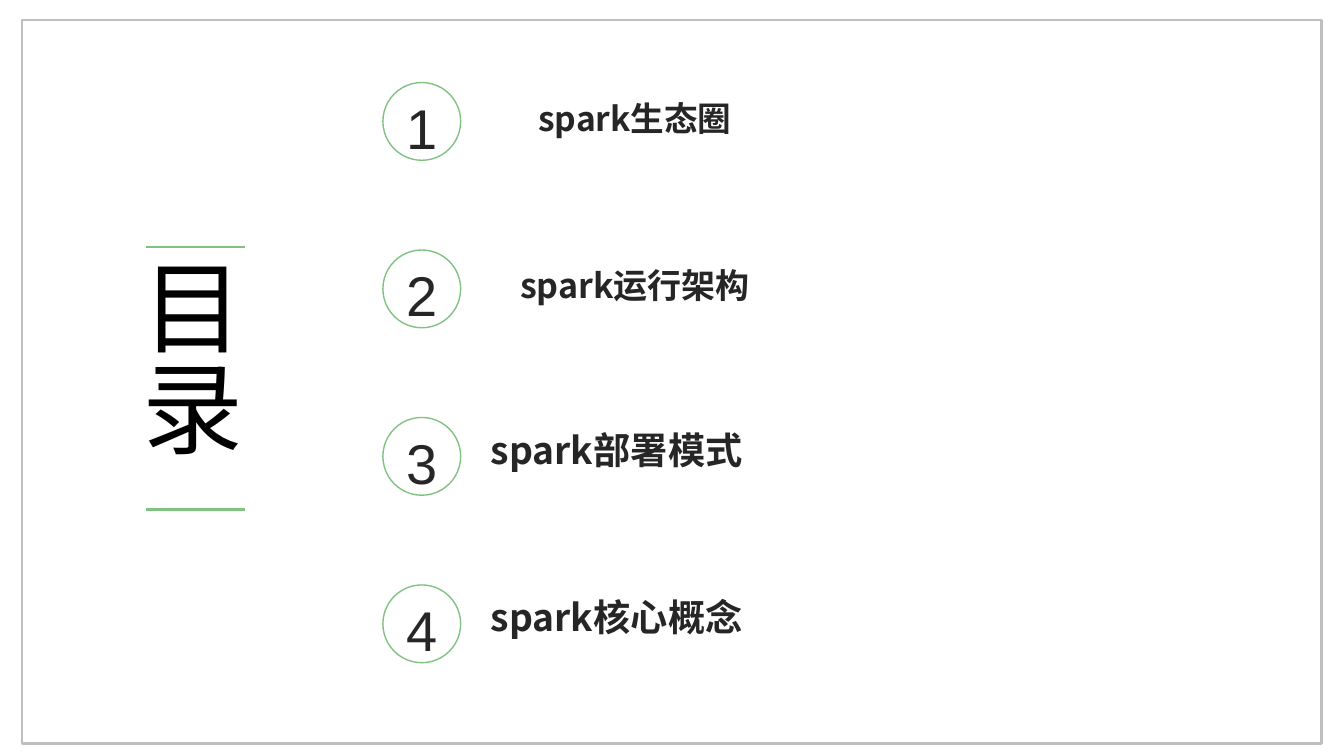
import pptx
import pptx.util
import pptx.dml.color
import pptx.enum.shapes
import pptx.enum.text
import pptx.oxml
import pptx.oxml.ns

Cm = pptx.util.Cm
Pt = pptx.util.Pt
Align = pptx.enum.text.PP_ALIGN
Shape = pptx.enum.shapes.MSO_SHAPE
GREEN = "81C283"
DARK = "262626"
SANS = "Noto Sans CJK SC"


def color(code):
    """Turn a hex string into a colour."""
    return pptx.dml.color.RGBColor.from_string(code)


def stroke(line, code, width):
    """Set the colour and width of a line."""
    line.color.rgb = color(code)
    line.width = Pt(width)


def outline(slide, kind, box, code, width):
    """Draw an unfilled shape in the box."""
    shape = slide.shapes.add_shape(kind, *map(Cm, box))
    shape.shadow.inherit = False
    shape.fill.background()
    stroke(shape.line, code, width)


def rule(slide, left, top, width):
    """Draw a level green line."""
    line = slide.shapes.add_connector(
        pptx.enum.shapes.MSO_CONNECTOR.STRAIGHT,
        Cm(left), Cm(top), Cm(left + width), Cm(top))
    stroke(line.line, GREEN, 1.75)
    props = line._element.spPr
    props.append(pptx.oxml.parse_xml(
        "<a:effectLst %s/>" % pptx.oxml.ns.nsdecls("a")))


def write(slide, box, text, size, face, code, align, bold=False):
    """Place one line of text in the box and return its frame."""
    frame = slide.shapes.add_textbox(*map(Cm, box)).text_frame
    frame.word_wrap = True
    para = frame.paragraphs[0]
    para.alignment = align
    run = para.add_run()
    run.text = text
    font = run.font
    font.size = Pt(size)
    font.bold = bold
    font.color.rgb = color(code)
    font.name = face
    run._r.get_or_add_rPr().append(pptx.oxml.parse_xml(
        '<a:ea %s typeface="%s"/>' % (pptx.oxml.ns.nsdecls("a"), face)))
    return frame


def title(slide, left, top, width, height):
    """Draw the upright heading between two green lines."""
    for edge in (top, top + height):
        rule(slide, left + 0.94, edge, 2.5)
    frame = write(slide, (left, top, width, height), "目录", 72,
                  "Arial", "000000", Align.LEFT)
    frame.vertical_anchor = pptx.enum.text.MSO_ANCHOR.MIDDLE
    frame._txBody.bodyPr.set("vert", "eaVert")


def entry(slide, left, top, number, text, size, shift, align, space):
    """Draw a circled number with its label."""
    side = 1.96
    frame = write(slide, (left - 0.21, top, side + 0.42, side), str(number),
                  40, "Arial", DARK, Align.CENTER)
    frame.margin_top = Cm(0.27)
    outline(slide, Shape.OVAL, (left, top, side, side), GREEN, 1)
    label = write(slide, (left + shift, top + 0.25, 8.38, 1.45), text, size,
                  SANS, DARK, align, True)
    label.paragraphs[0].line_spacing = space


def agenda(slide, left, top, pitch):
    """Stack the four entries at an equal pitch."""
    wide = (2.16, Align.CENTER, 1.0)
    tight = (2.47, Align.JUSTIFY, 0.9)
    items = [
        ("spark生态圈", 24, wide),
        ("spark运行架构", 24.3, wide),
        ("spark部署模式", 26.6, tight),
        ("spark核心概念", 26.6, tight),
    ]
    for row, (text, size, style) in enumerate(items):
        entry(slide, left, top + row * pitch, row + 1, text, size, *style)


def main():
    """Build the contents slide."""
    deck = pptx.Presentation()
    deck.slide_width = Cm(33.87)
    deck.slide_height = Cm(19.05)
    slide = deck.slides.add_slide(deck.slide_layouts[6])
    outline(slide, Shape.RECTANGLE, (0.56, 0.5, 32.74, 18.57 - 0.33),
            "BFBFBF", 1.75)
    title(slide, 2.74, 6.22, 4.04, 6.62)
    agenda(slide, 9.65, 2.08, 4.22)
    deck.save("out.pptx")


if __name__ == "__main__":
    main()
